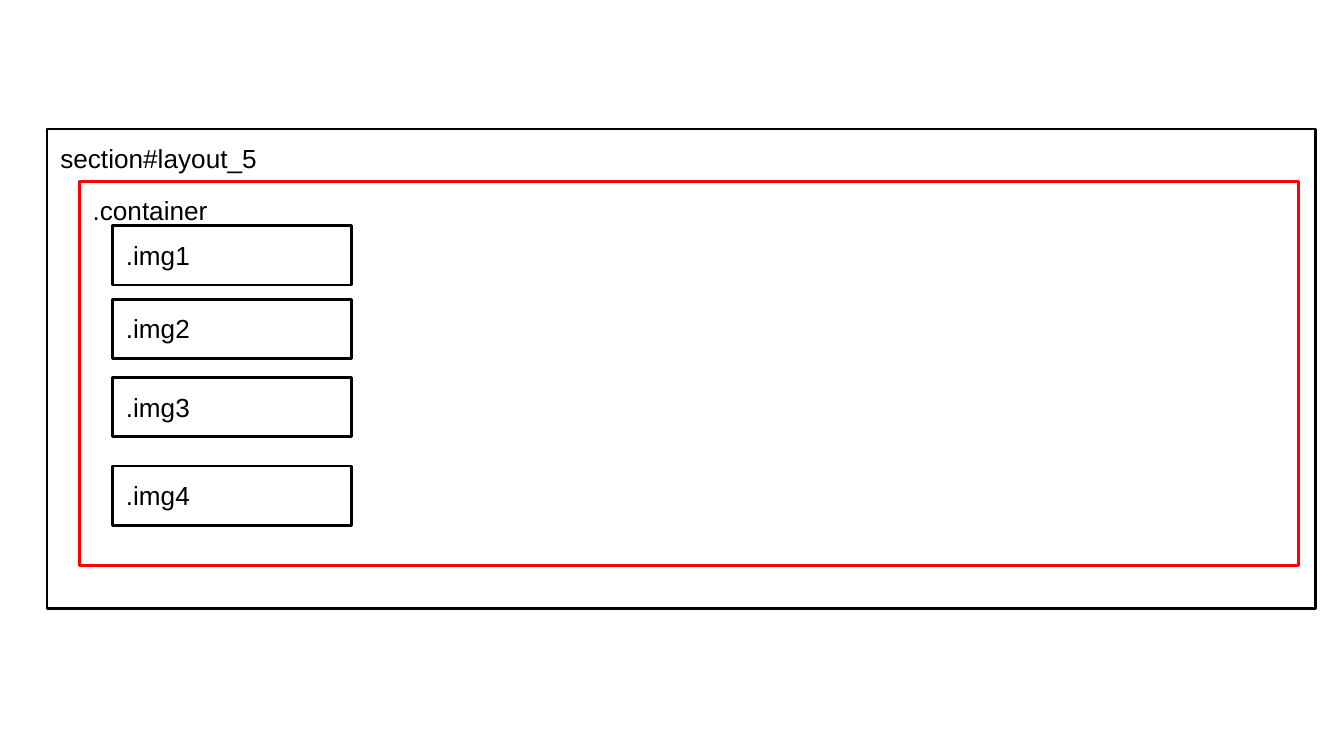
import pptx
import pptx.util
import pptx.dml.color
import pptx.enum.shapes
import pptx.enum.text

Cm = pptx.util.Cm
Pt = pptx.util.Pt
BLACK = pptx.dml.color.RGBColor(0, 0, 0)
RED = pptx.dml.color.RGBColor(255, 0, 0)


class Sketch:
    font = {"name": "Arial", "size": Pt(14)}
    frame = {
        "word_wrap": True,
        "vertical_anchor": pptx.enum.text.MSO_ANCHOR.TOP,
        **{f"margin_{side}": Cm(0.25) for side in ("left", "top", "right", "bottom")},
    }

    def __init__(self, slide):
        self.slide = slide

    def style(self, item, values):
        for key, value in values.items():
            setattr(item, key, value)

    def box(self, label, left, top, width, height, color=BLACK):
        shape = self.slide.shapes.add_shape(
            pptx.enum.shapes.MSO_SHAPE.RECTANGLE,
            Cm(left), Cm(top), Cm(width), Cm(height))
        shape.shadow.inherit = False
        shape.fill.background()
        shape.line.color.rgb = color
        shape.line.width = Pt(1.5)
        self.style(shape.text_frame, self.frame)
        para = shape.text_frame.paragraphs[0]
        para.alignment = pptx.enum.text.PP_ALIGN.LEFT
        run = para.add_run()
        run.text = label
        self.style(run.font, self.font)
        run.font.color.rgb = BLACK


deck = pptx.Presentation()
deck.slide_width = Cm(25.4)
deck.slide_height = Cm(14.29)
sketch = Sketch(deck.slides.add_slide(deck.slide_layouts[6]))

sketch.box("section#layout_5", 0.89, 2.44, 23.98, 9.07)
sketch.box(".container", 1.5, 3.43, 23.04, 7.26, RED)
for index, top in enumerate((4.27, 5.66, 7.14, 8.81), 1):
    sketch.box(f".img{index}", 2.13, top, 4.52, 1.12)

deck.save("out.pptx")
